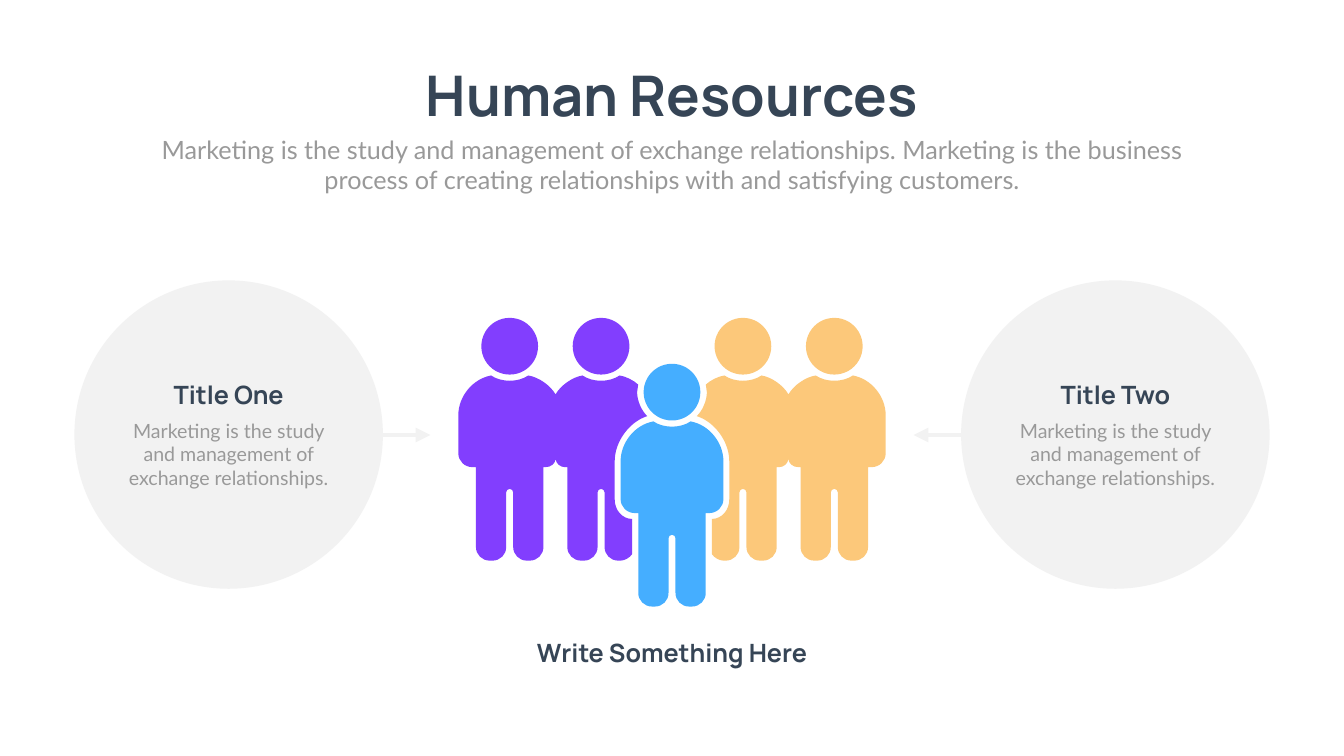
"""Build the Human Resources slide with a group of people between two circles."""
import lxml.etree
import pptx
import pptx.dml.color
import pptx.enum.shapes
import pptx.enum.text
import pptx.oxml
import pptx.oxml.ns
import pptx.util

Pt = pptx.util.Pt
OVAL = pptx.enum.shapes.MSO_SHAPE.OVAL
DARK, GRAY, PALE = "364556", "999999", "F2F2F2"


def hue(code):
    return pptx.dml.color.RGBColor.from_string(code)


def put(text, left, top, width, height, size=36, face="Manrope", tone=DARK,
        bold=True, wrap=True, box=None):
    if box is None:
        box = slide.shapes.add_textbox(0, 0, 0, 0)
    box.left, box.top, box.width, box.height = Pt(left), Pt(top), Pt(width), Pt(height)
    frame = box.text_frame
    frame.text = text
    frame.word_wrap = wrap
    frame.auto_size = pptx.enum.text.MSO_AUTO_SIZE.SHAPE_TO_FIT_TEXT
    frame.vertical_anchor = pptx.enum.text.MSO_ANCHOR.TOP
    line = frame.paragraphs[0]
    line.alignment = pptx.enum.text.PP_ALIGN.CENTER
    font = line.runs[0].font
    font.size, font.name, font.bold = Pt(size), face, bold
    font.color.rgb = hue(tone)


deck = pptx.Presentation()
deck.slide_width, deck.slide_height = Pt(1919.52), Pt(1080)
slide = deck.slides.add_slide(deck.slide_layouts[5])
mid = 959.76

put("Human Resources", mid - 386, 83, 772, 104.4, size=80, wrap=False,
    box=slide.shapes.title)
put("Marketing is the study and management of exchange relationships. "
    "Marketing is the business process of creating relationships with and "
    "satisfying customers.",
    mid - 749.5, 188, 1499, 94.3, face="Lato", tone=GRAY, bold=False)

# Each row is one rounded corner: start, corner, end.
left = [
    (-26.6, 0, -73.4, 8.6, -73.4, 57),
    (-73.4, 111, -73.4, 131, -53, 131),
    (-48.2, 131, -48.2, 131, -48.2, 131),
    (-48.2, 245, -48.2, 264.5, -28.4, 264.5),
    (-24.5, 264.5, -5, 264.5, -5, 245),
    (-5, 167, -5, 162, 0, 162),
]
neck = (26.6, 0, 0, 18, -26.6, 0)
right = [(-x2, y2, -x1, y1, -x0, y0) for x0, y0, x1, y1, x2, y2 in left[::-1]]
body = left + right + [neck]
gap = 130.5
legs = [(x0 + gap, y0, x1 + gap, y1, x2 + gap, y2)
        for x0, y0, x1, y1, x2, y2 in body[2:8]]
pair = body[:10] + [
    (51, 131, 65, 131, 65.5, 119.5),
    (65.5, 119.5, 67, 131, 79, 131),
] + legs + [
    (158.4, 264.5, 169, 264.5, 175, 255),
    (175, 205, 150, 205, 150, 177),
    (150, 122.5, 150, 73, 196.5, 58),
    (196.5, 58, 182, 45, 182, 24),
    (183.5, 13, 172, 2, 157, 0),
    (157, 0, gap, 18, 104, 0),
    (104, 0, 78.5, 4, 65.5, 27),
    (65.5, 27, 52.5, 4, 26.6, 0),
    neck,
]

bend = 0.56
for rows, shift, top, side, heads, tone in [
    (pair, -231.8, 536.4, 1, (0, gap), "823EFE"),
    (pair, -231.8, 536.4, -1, (0, gap), "FCC87A"),
    (body, 0, 602, 1, (0,), "45AEFF"),
]:
    dots, curves, last = [], [], None
    for x0, y0, x1, y1, x2, y2 in rows:
        trail = [(x0, y0)] if (x0, y0) != last else []
        last = (x2, y2)
        if last != (x0, y0):
            curves.append(len(dots) + len(trail) - 1)
            trail += [(x0 + bend * (x1 - x0), y0 + bend * (y1 - y0)),
                      (x2 + bend * (x1 - x2), y2 + bend * (y1 - y2)), last]
        dots += [(Pt(mid + side * (shift + x)), Pt(top + y)) for x, y in trail]
    form = slide.shapes.build_freeform(*dots[0], scale=1.0)
    form.add_line_segments(dots[1:], close=True)
    parts = [form.convert_to_shape()]
    marks = list(parts[0]._element.iter(pptx.oxml.ns.qn("a:lnTo")))
    for first in curves:
        curve = lxml.etree.Element(pptx.oxml.ns.qn("a:cubicBezTo"))
        marks[first].addprevious(curve)
        for mark in marks[first:first + 3]:
            curve.append(mark[0])
            mark.getparent().remove(mark)
    for head in heads:
        x = mid + side * (shift + head)
        parts.append(slide.shapes.add_shape(
            OVAL, Pt(x - 40.5), Pt(top - 82.3), Pt(81), Pt(81)))
    for part in parts:
        part.shadow.inherit = False
        part.fill.solid()
        part.fill.fore_color.rgb = hue(tone)
        part.line.fill.background()

put("Write Something Here", mid - 226, 906.5, 452, 51.1)

for side, title, label in [(-1, "Title One", 174.2), (1, "Title Two", 1440.7)]:
    arrow = slide.shapes.add_connector(
        pptx.enum.shapes.MSO_CONNECTOR.STRAIGHT,
        Pt(mid + side * 545), Pt(621.4), Pt(mid + side * 345), Pt(621.4))
    arrow.line.color.rgb = hue(PALE)
    arrow.line.width = Pt(7)
    arrow.line._get_or_add_ln().append(pptx.oxml.parse_xml(
        '<a:tailEnd %s type="triangle"/>' % pptx.oxml.ns.nsdecls("a")))
    arrow._element.spPr.append(pptx.oxml.parse_xml(
        "<a:effectLst %s/>" % pptx.oxml.ns.nsdecls("a")))
    disc = slide.shapes.add_shape(
        OVAL, Pt(mid + side * 633.2 - 220.3), Pt(400.5), Pt(440.6), Pt(440.6))
    disc.shadow.inherit = False
    disc.fill.solid()
    disc.fill.fore_color.rgb = hue(PALE)
    disc.line.fill.background()
    put("Marketing is the study and management of exchange relationships.",
        label, 594.5, 304.6, 108.7, size=28, face="Lato", tone=GRAY, bold=False)
    put(title, label, 538.6, 304.6, 51.1)

deck.save("out.pptx")
